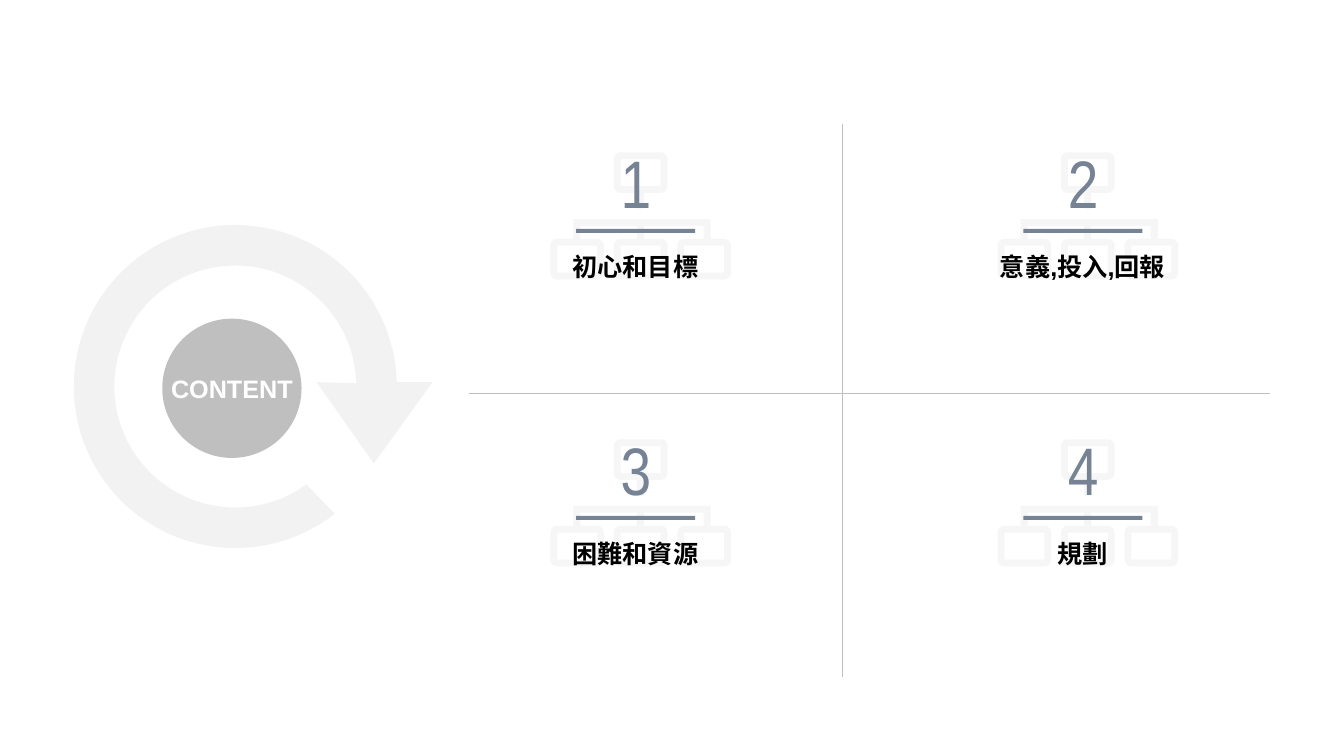
from itertools import product
from math import cos, radians, sin

from lxml.etree import SubElement as Sub
from pptx import Presentation
from pptx.dml.color import RGBColor as Rgb
from pptx.enum.shapes import MSO_CONNECTOR as Link, MSO_SHAPE as Form
from pptx.enum.text import MSO_ANCHOR as Anchor, MSO_AUTO_SIZE as Fit, PP_ALIGN as Align
from pptx.oxml.ns import qn
from pptx.util import Cm, Pt

COLORS = {
    "pale": "F2F2F2",
    "gray": "BFBFBF",
    "slate": "768394",
    "black": "000000",
    "white": "FFFFFF",
}
FONTS = {
    "title": {"name": "Arial", "size": Pt(18), "bold": True},
    "label": {"name": "Arial", "size": Pt(18), "bold": True},
    "digit": {"name": "Arial Narrow", "size": Pt(48), "bold": False},
}
TOPICS = ["初心和目標", "意義,投入,回報", "困難和資源", "規劃"]
STEP_X, STEP_Y = 11.27, 7.23
UNIT = 1000  # freeform units per centimetre


def arc(x, y, r, start, end, count):
    """Points along a circle, angles in degrees, clockwise from the right."""
    turns = [radians(start + (end - start) * i / count) for i in range(count + 1)]
    return [(x + r * cos(t), y + r * sin(t)) for t in turns]


def frame(x, y, w=1.35, h=1.02, edge=0.17):
    """Rounded outer and square inner outline of one box."""
    left, top, right, low = x + edge, y + edge, x + w - edge, y + h - edge
    hole = [(left, top), (left, low), (right, low), (right, top)]
    turns = zip(hole, (180, 90, 0, 270))
    # Corners run counter-clockwise, so each arc is swept backwards.
    outer = [p for (cx, cy), a in turns for p in arc(cx, cy, edge, a + 90, a, 6)]
    return [outer, hole]


def chart_icon():
    """Outlines of an organisation chart: four boxes, a stem and a fork."""
    stem = [(2.18, 1.02), (2.36, 1.02), (2.36, 1.42), (2.18, 1.42)]
    fork = [(0.58, 2.18), (0.58, 1.68), (4.04, 1.68), (4.04, 2.18),
            (3.86, 2.18), (3.86, 1.85), (2.36, 1.85), (2.36, 2.18),
            (2.18, 2.18), (2.18, 1.85), (0.76, 1.85), (0.76, 2.18)]
    boxes = [(1.6, 0), (0, 2.18), (1.6, 2.18), (3.2, 2.18)]
    return [line for box in boxes for line in frame(*box)] + [stem, fork]


def loop_arrow():
    x, y = 5.93, 9.74
    head = [(10.9, 9.63), (9.42, 11.68), (7.98, 9.63)]
    return [arc(x, y, 4.07, 52, 358.5, 90) + head + arc(x, y, 3.05, 358.5, 54, 90)]


class Board:
    """Draws styled elements on one slide; lengths are in centimetres."""

    def __init__(self, deck):
        self.slide = deck.slides.add_slide(deck.slide_layouts[5])
        self.shapes = self.slide.shapes

    def paint(self, shape, color):
        shape.shadow.inherit = False
        shape.fill.solid()
        shape.fill.fore_color.rgb = Rgb.from_string(COLORS[color])
        shape.line.fill.background()

    def shape(self, form, box, color):
        item = self.shapes.add_shape(form, *map(Cm, box))
        self.paint(item, color)

    def outline(self, lines, color, x=0, y=0, alpha=None):
        pen = None
        for (first, *rest) in lines:
            start = [v * UNIT for v in first]
            if pen is None:
                pen = self.shapes.build_freeform(*start, scale=Cm(1) / UNIT)
            else:
                pen.move_to(*start)
            pen.add_line_segments([(a * UNIT, b * UNIT) for a, b in rest])
        item = pen.convert_to_shape(Cm(x), Cm(y))
        self.paint(item, color)
        if alpha:
            tint = item.element.spPr.find(qn("a:solidFill"))[0]
            Sub(tint, qn("a:alpha"), val=str(alpha * 1000))

    def letter(self, item, words, font, color, anchor, pad):
        """Put styled words into a shape that holds text."""
        body = item.text_frame
        body.text = words
        form = {
            "word_wrap": False,
            "auto_size": Fit.NONE,
            "vertical_anchor": anchor,
            "margin_left": Cm(pad[0]),
            "margin_right": Cm(pad[0]),
            "margin_top": Cm(pad[1]),
            "margin_bottom": Cm(pad[1]),
        }
        for key, value in form.items():
            setattr(body, key, value)
        line = body.paragraphs[0]
        line.alignment = Align.CENTER
        face = line.runs[0].font
        for key, value in FONTS[font].items():
            setattr(face, key, value)
        face.color.rgb = Rgb.from_string(COLORS[color])

    def text(self, box, words, font, color, anchor, pad):
        item = self.shapes.add_textbox(*map(Cm, box))
        self.letter(item, words, font, color, anchor, pad)

    def title(self, box, words, color):
        item = self.shapes.title
        for key, value in zip(("left", "top", "width", "height"), box):
            setattr(item, key, Cm(value))
        self.letter(item, words, "title", color, Anchor.MIDDLE, (0, 0))
        # The title sits above the shapes drawn so far.
        item.element.getparent().append(item.element)

    def rule(self, ends, color):
        item = self.shapes.add_connector(Link.STRAIGHT, *map(Cm, ends))
        item.line.color.rgb = Rgb.from_string(COLORS[color])
        item.line.width = Pt(0.25)
        Sub(item.element.spPr, qn("a:effectLst"))

    def topic(self, x, y, digit, words):
        self.outline(chart_icon(), "pale", 13.87 + x, 3.84 + y, alpha=64)
        self.shape(Form.RECTANGLE, (14.52 + x, 5.77 + y, 3, 0.1), "slate")
        self.text((15.04 + x, 3.3 + y, 1.98, 2.57), digit, "digit", "slate",
                  Anchor.MIDDLE, (0.5, 0.25))
        self.text((11.3 + x, 6 + y, 9.42, 1.22), words, "label", "black",
                  Anchor.BOTTOM, (0.25, 0.13))


def main():
    deck = Presentation()
    deck.slide_width, deck.slide_height = Cm(33.87), Cm(19.05)
    board = Board(deck)

    disc = (4.09, 8.03, 3.51, 3.51)
    board.outline(loop_arrow(), "pale")
    board.shape(Form.OVAL, disc, "gray")
    board.title(disc, "CONTENT", "white")

    cells = product(range(2), range(2))
    for num, ((row, col), words) in enumerate(zip(cells, TOPICS), 1):
        board.topic(col * STEP_X, row * STEP_Y, str(num), words)

    board.rule((11.81, 9.91, 32, 9.91), "gray")
    board.rule((21.23, 3.12, 21.23, 17.07), "gray")
    deck.save("out.pptx")


if __name__ == "__main__":
    main()
